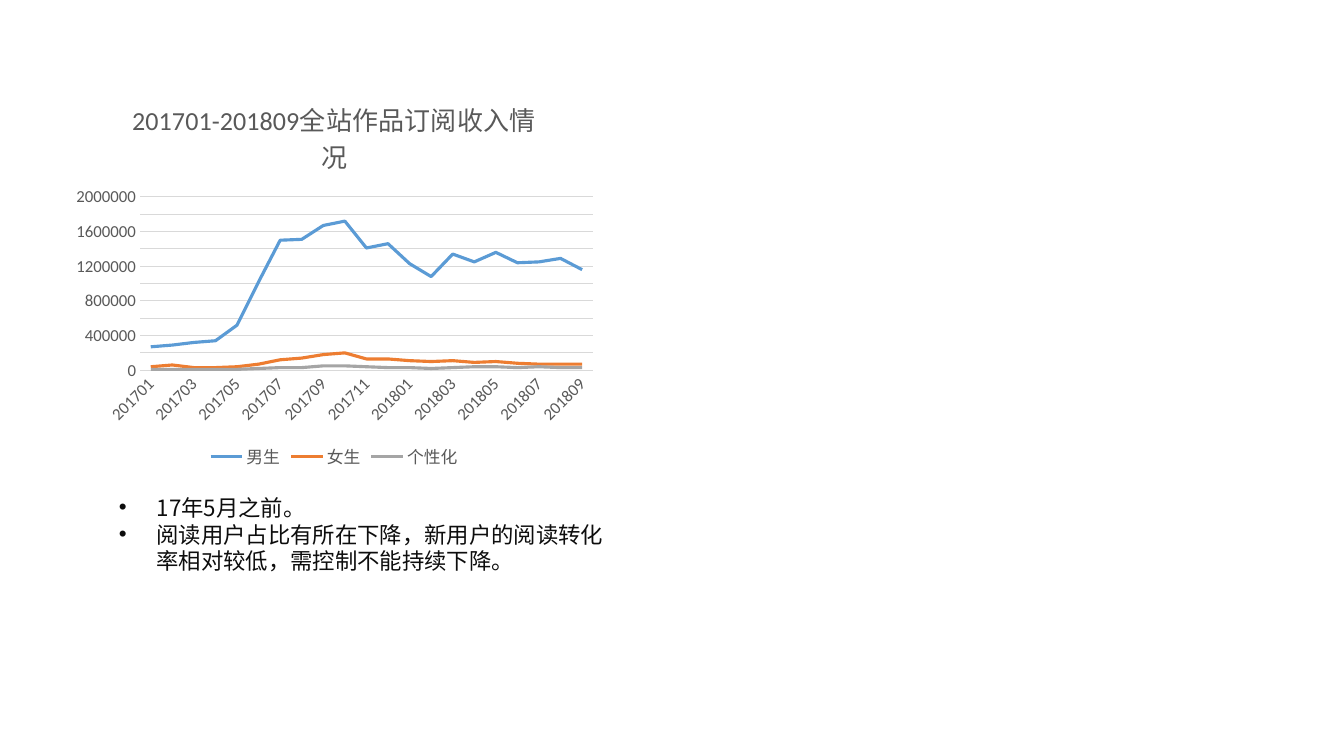
from lxml.etree import SubElement
from pptx import Presentation
from pptx.chart.data import CategoryChartData
from pptx.dml.color import RGBColor
from pptx.enum.chart import XL_CHART_TYPE, XL_LEGEND_POSITION, XL_TICK_MARK
from pptx.enum.text import MSO_AUTO_SIZE
from pptx.oxml import parse_xml
from pptx.oxml.ns import nsdecls, qn
from pptx.util import Pt

COLORS = {"ink": "0D0D0D", "label": "595959", "grid": "D9D9D9",
          "男生": "5B9BD5", "女生": "ED7D31", "个性化": "A5A5A5"}
CJK = "Noto Sans CJK SC"


def color(name):
    return RGBColor.from_string(COLORS[name])


def write(paragraph, text, size=16, ink="ink", font=CJK, bullet=False):
    if bullet:
        properties = paragraph._p.get_or_add_pPr()
        properties.set("marL", str(Pt(27)))
        properties.set("indent", str(-Pt(27)))
        SubElement(properties, qn("a:buFont"), typeface="Arial")
        SubElement(properties, qn("a:buChar"), char="•")
    run = paragraph.add_run()
    run.text = text
    run.font.size = Pt(size)
    run.font.bold = False
    run.font.color.rgb = color(ink)
    run.font.name = font
    SubElement(run._r.get_or_add_rPr(), qn("a:ea"), typeface=CJK)


presentation = Presentation()
presentation.slide_width = Pt(960)
presentation.slide_height = Pt(540)
slide = presentation.slides.add_slide(presentation.slide_layouts[6])

findings = slide.shapes.add_textbox(Pt(77.8), Pt(349.2), Pt(370), Pt(65.5)).text_frame
findings.word_wrap = True
findings.auto_size = MSO_AUTO_SIZE.SHAPE_TO_FIT_TEXT
write(findings.paragraphs[0], "17年5月之前。", bullet=True)
write(findings.add_paragraph(),
      "阅读用户占比有所在下降，新用户的阅读转化率相对较低，需控制不能持续下降。", bullet=True)

income_in_ten_thousands = {
    "男生": [27, 29, 32, 34, 52, 102, 150, 151, 167, 172, 141,
           146, 123, 108, 134, 125, 136, 124, 125, 129, 116],
    "女生": [4, 6, 3, 3, 4, 7, 12, 14, 18, 20, 13,
           13, 11, 10, 11, 9, 10, 8, 7, 7, 7],
    "个性化": [1, 1, 1, 1, 1, 2, 3, 3, 5, 5, 4,
            3, 3, 2, 3, 4, 4, 3, 4, 3, 3],
}
income = CategoryChartData()
income.categories = [f"{year}{month:02}" for year, last in ((2017, 12), (2018, 9))
                     for month in range(1, last + 1)]
for audience, values in income_in_ten_thousands.items():
    income.add_series(audience, [value * 10000 for value in values])

chart = slide.shapes.add_chart(XL_CHART_TYPE.LINE, Pt(46.1), Pt(56.2),
                               Pt(385.2), Pt(281.5), income).chart
chart.font.size = Pt(10)
chart.font.name = "Calibri"
write(chart.chart_title.text_frame.paragraphs[0], "201701-201809全站作品订阅收入情况",
      size=18.6, ink="label", font="Calibri")
chart.chart_title.include_in_layout = False
chart.has_legend = True
chart.legend.position = XL_LEGEND_POSITION.BOTTOM
chart.legend.include_in_layout = False

months, amounts = chart.category_axis, chart.value_axis
for font in (months.tick_labels.font, amounts.tick_labels.font, chart.legend.font):
    font.size = Pt(12)
    font.name = "Calibri"
    font.color.rgb = color("label")
for axis in (months, amounts):
    axis.major_tick_mark = XL_TICK_MARK.NONE
    axis.minor_tick_mark = XL_TICK_MARK.NONE
months._element.find(qn("c:txPr")).find(qn("a:bodyPr")).set("rot", "-2700000")
months.format.line.color.rgb = color("grid")
months.format.line.width = Pt(0.75)
amounts.format.line.fill.background()
amounts.minimum_scale = 0
amounts.maximum_scale = 2000000
amounts.major_unit = 200000
amounts.tick_labels.number_format = "General"
amounts.tick_labels.number_format_is_linked = False
amounts.major_gridlines.format.line.color.rgb = color("grid")
amounts.major_gridlines.format.line.width = Pt(0.75)

chart.plots[0].vary_by_categories = False
for series in chart.plots[0].series:
    series.smooth = False
    series.format.line.color.rgb = color(series.name)
    series.format.line.width = Pt(2.25)

plot_area = chart._chartSpace.chart.plotArea
for stale in plot_area.findall(qn("c:layout")):
    plot_area.remove(stale)
plot_area.insert(0, parse_xml(
    f'<c:layout {nsdecls("c")}><c:manualLayout><c:layoutTarget val="inner"/>'
    '<c:xMode val="edge"/><c:yMode val="edge"/><c:x val="0.14"/><c:y val="0.3"/>'
    '<c:w val="0.84"/><c:h val="0.44"/></c:manualLayout></c:layout>'))

presentation.save("out.pptx")
